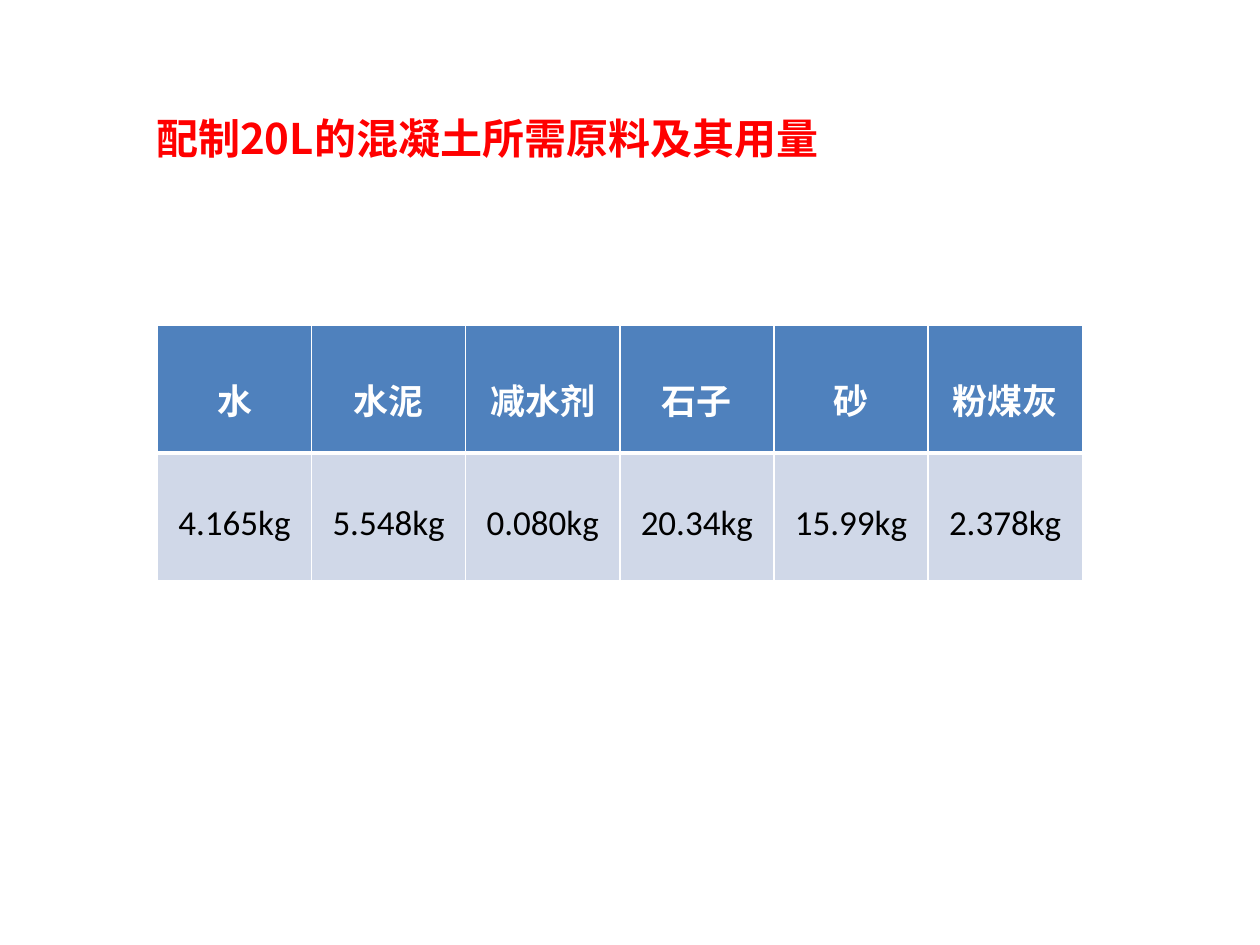
import pptx
import pptx.util
import pptx.dml.color
import pptx.enum.text
import pptx.oxml.ns
from lxml import etree

Inches = pptx.util.Inches
Pt = pptx.util.Pt
PP_ALIGN = pptx.enum.text.PP_ALIGN
MSO_ANCHOR = pptx.enum.text.MSO_ANCHOR
qn = pptx.oxml.ns.qn

COLORS = {"title": "FF0000", "header": "4F81BD", "body": "D0D8E8",
          "white": "FFFFFF", "black": "000000"}
CJK_FONT = "Noto Sans CJK SC"
TITLE = "配制20L的混凝土所需原料及其用量"
AMOUNTS = {"水": "4.165kg", "水泥": "5.548kg", "减水剂": "0.080kg",
           "石子": "20.34kg", "砂": "15.99kg", "粉煤灰": "2.378kg"}


def rgb(name):
    return pptx.dml.color.RGBColor.from_string(COLORS[name])


def style_paragraph(p, size, font, color, bold, align):
    p.alignment = align
    p.font.size = Pt(size)
    p.font.name = font
    p.font.bold = bold
    p.font.color.rgb = rgb(color)


def add_title(slide, left, top, width, height):
    sp = slide.shapes.title
    sp.left, sp.top, sp.width, sp.height = left, top, width, height
    tf = sp.text_frame
    tf.text = TITLE
    tf.word_wrap = True
    tf.auto_size = pptx.enum.text.MSO_AUTO_SIZE.NONE
    tf.vertical_anchor = MSO_ANCHOR.TOP
    p = tf.paragraphs[0]
    style_paragraph(p, 24, CJK_FONT, "title", True, PP_ALIGN.LEFT)
    r_pr = p.runs[0].font
    r_pr.name = CJK_FONT
    latin = sp.element.find(".//" + qn("a:rPr") + "/" + qn("a:latin"))
    ea = etree.Element(qn("a:ea"), typeface=CJK_FONT)
    latin.addnext(ea)


def set_borders(cell, widths):
    tc_pr = cell._tc.get_or_add_tcPr()
    for i, (side, width) in enumerate(widths.items()):
        ln = etree.Element(qn("a:ln" + side), w=str(Pt(width)))
        fill = etree.SubElement(ln, qn("a:solidFill"))
        etree.SubElement(fill, qn("a:srgbClr"), val=COLORS["white"])
        tc_pr.insert(i, ln)


def add_amounts_table(slide, left, top, width, height):
    rows = [list(AMOUNTS), list(AMOUNTS.values())]
    table = slide.shapes.add_table(len(rows), len(AMOUNTS),
                                   left, top, width, height).table
    for r, texts in enumerate(rows):
        header = r == 0
        for c, text in enumerate(texts):
            cell = table.cell(r, c)
            cell.text = text
            cell.margin_top = Inches(0.39)
            cell.vertical_anchor = MSO_ANCHOR.TOP
            cell.fill.solid()
            cell.fill.fore_color.rgb = rgb("header" if header else "body")
            style_paragraph(cell.text_frame.paragraphs[0], 20, "Calibri",
                            "white" if header else "black", header, PP_ALIGN.CENTER)
            set_borders(cell, {"L": 1, "R": 1, "T": 1 if header else 3,
                               "B": 3 if header else 1})


def main():
    prs = pptx.Presentation()
    prs.slide_width, prs.slide_height = Inches(10), Inches(7.5)
    slide = prs.slides.add_slide(prs.slide_layouts[5])
    add_title(slide, Inches(1.14), Inches(0.84), Inches(6.88), Inches(0.5))
    add_amounts_table(slide, Inches(1.25), Inches(2.58), Inches(7.34), Inches(2.03))
    prs.save("out.pptx")


if __name__ == "__main__":
    main()
